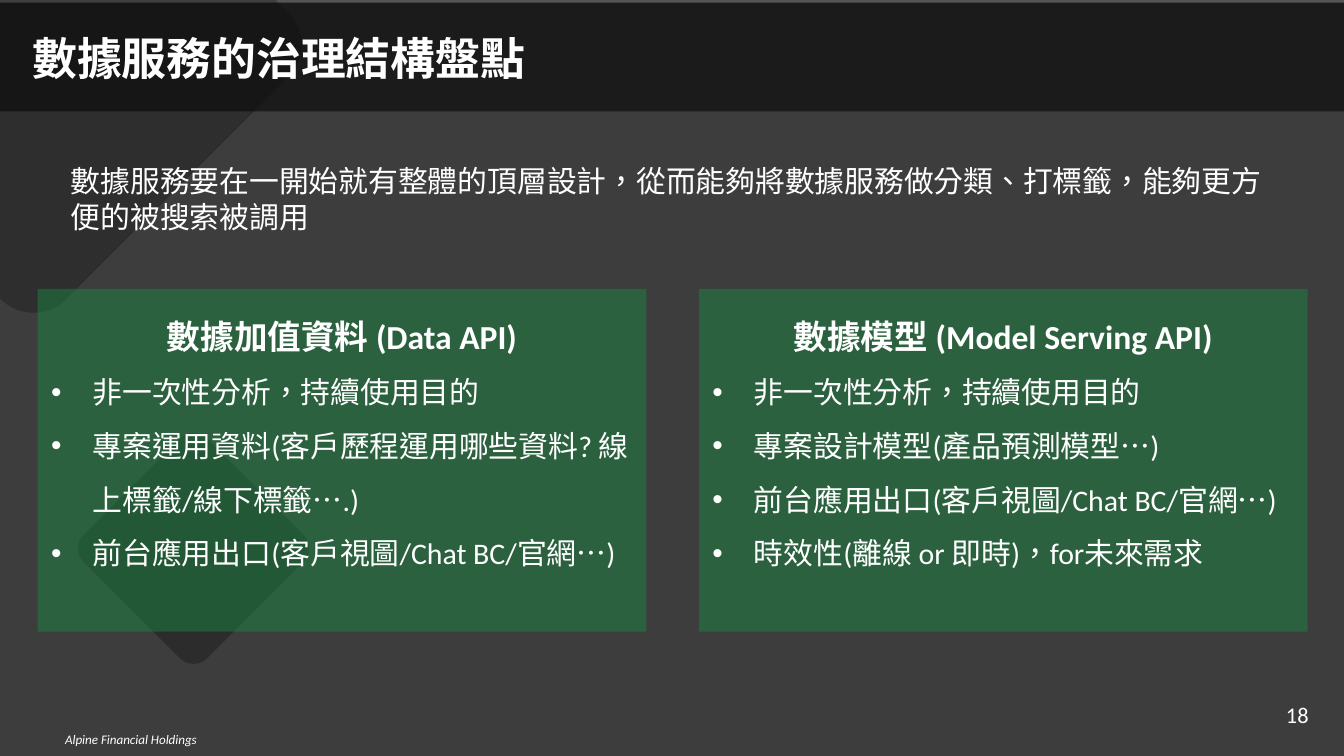
from dataclasses import dataclass

from lxml import etree
from pptx import Presentation
from pptx.dml.color import RGBColor
from pptx.enum.shapes import MSO_SHAPE
from pptx.enum.text import MSO_ANCHOR, MSO_AUTO_SIZE, PP_ALIGN
from pptx.oxml.ns import qn
from pptx.util import Inches, Pt

RECT, ROUNDED = MSO_SHAPE.RECTANGLE, MSO_SHAPE.ROUNDED_RECTANGLE
LEFT, CENTER = PP_ALIGN.LEFT, PP_ALIGN.CENTER
TOP, MIDDLE = MSO_ANCHOR.TOP, MSO_ANCHOR.MIDDLE
TWO_CONTENT = 3


@dataclass(frozen=True)
class Theme:
    dark: RGBColor = RGBColor(0x0D, 0x0D, 0x0D)
    green: RGBColor = RGBColor(0x16, 0x8E, 0x40)
    white: RGBColor = RGBColor(0xFF, 0xFF, 0xFF)
    latin: str = "Calibri"
    intro_font: str = "Open Sans"
    chinese: str = "Noto Sans CJK SC"
    title: int = 24
    heading: int = 18
    body: int = 16
    number: int = 12
    footer: int = 7


THEME = Theme()

CARDS = [
    ("數據加值資料 (Data API)", [
        "非一次性分析，持續使用目的",
        "專案運用資料(客戶歷程運用哪些資料? 線上標籤/線下標籤….)",
        "前台應用出口(客戶視圖/Chat BC/官網…)",
    ]),
    ("數據模型 (Model Serving API)", [
        "非一次性分析，持續使用目的",
        "專案設計模型(產品預測模型…)",
        "前台應用出口(客戶視圖/Chat BC/官網…)",
        "時效性(離線 or 即時)，for未來需求",
    ]),
]


def place(shape, left, top, width, height):
    shape.left, shape.top = Inches(left), Inches(top)
    shape.width, shape.height = Inches(width), Inches(height)


def fill_translucent(shape, color, percent):
    shape.fill.solid()
    shape.fill.fore_color.rgb = color
    color_node = shape.element.spPr.find(qn("a:solidFill"))[0]
    etree.SubElement(color_node, qn("a:alpha")).set("val", str(percent * 1000))
    shape.line.fill.background()


def add_panel(slide, preset, box, percent):
    panel = slide.shapes.add_shape(preset, *map(Inches, box))
    panel.shadow.inherit = False
    fill_translucent(panel, THEME.dark, percent)
    return panel


def bezier(start, control_a, control_b, end, steps=12):
    """Points along a cubic curve, with both ends."""
    curve = []
    for step in range(steps + 1):
        t = step / steps
        weights = ((1 - t) ** 3, 3 * t * (1 - t) ** 2, 3 * t * t * (1 - t), t ** 3)
        curve.append(tuple(sum(w * p[axis] for w, p in zip(
            weights, (start, control_a, control_b, end))) for axis in (0, 1)))
    return curve


def add_corner_diamond(slide):
    outline = [(2.05, 0)]
    outline += bezier((2.15, 0.1), (2.28, 0.23), (2.28, 0.44), (2.15, 0.57))
    outline += bezier((0.49, 2.23), (0.36, 2.36), (0.14, 2.36), (0.01, 2.23))
    outline += [(0, 2.22)]
    builder = slide.shapes.build_freeform(0, 0)
    builder.add_line_segments([(Inches(x), Inches(y)) for x, y in outline])
    diamond = builder.convert_to_shape()
    diamond.shadow.inherit = False
    fill_translucent(diamond, THEME.dark, 30)


def format_paragraph(paragraph, size, font=THEME.latin, align=LEFT,
                     bold=False, italic=False):
    paragraph.alignment = align
    paragraph.space_before = Pt(0)
    for run in paragraph.runs:
        run.font.size, run.font.name = Pt(size), font
        run.font.bold, run.font.italic = bold, italic
        run.font.color.rgb = THEME.white
        properties = run._r.get_or_add_rPr()
        properties.set("lang", "zh-TW")
        east_asian = etree.Element(qn("a:ea"), typeface=THEME.chinese)
        properties.find(qn("a:latin")).addnext(east_asian)


def set_bullet(paragraph, bullet=None):
    properties = paragraph._p.get_or_add_pPr()
    indent = Inches(0.31) if bullet else 0
    properties.set("marL", str(indent))
    properties.set("indent", str(-indent))
    if bullet:
        etree.SubElement(properties, qn("a:buFont")).set("typeface", "Arial")
        etree.SubElement(properties, qn("a:buChar")).set("char", bullet)
    else:
        etree.SubElement(properties, qn("a:buNone"))


def set_frame(shape, anchor):
    frame = shape.text_frame
    frame.word_wrap = True
    frame.auto_size = MSO_AUTO_SIZE.NONE
    frame.vertical_anchor = anchor
    return frame


def add_label(slide, text, box, size, anchor=TOP, **style):
    label = slide.shapes.add_textbox(*map(Inches, box))
    frame = set_frame(label, anchor)
    frame.text = text
    format_paragraph(frame.paragraphs[0], size, **style)


def fill_title(title, text):
    place(title, 0.14, 0.21, 9.72, 0.43)
    frame = set_frame(title, MIDDLE)
    frame.text = text
    format_paragraph(frame.paragraphs[0], THEME.title, THEME.chinese, bold=True)


def fill_card(card, left, heading, points):
    place(card, left, 2.15, 4.53, 2.55)
    fill_translucent(card, THEME.green, 45)
    frame = set_frame(card, TOP)
    frame.text = "\n".join([heading, *points])
    heading_line, *point_lines = frame.paragraphs
    format_paragraph(heading_line, THEME.heading, align=CENTER, bold=True)
    heading_line.line_spacing = 1.5
    set_bullet(heading_line)
    for line in point_lines:
        format_paragraph(line, THEME.body)
        line.line_spacing = 1.5
        set_bullet(line, "•")


def main():
    # Widescreen, 16:9
    deck = Presentation()
    deck.slide_width = Inches(10)
    deck.slide_height = deck.slide_width * 9 // 16
    slide = deck.slides.add_slide(deck.slide_layouts[TWO_CONTENT])
    title, *cards = list(slide.placeholders)

    # Dark backdrop with diamonds and title band
    add_panel(slide, RECT, (-0.02, 0.02, 10.02, 5.62), 80)
    add_corner_diamond(slide)
    add_panel(slide, RECT, (0, 0, 10, 0.83), 70)
    diamond = add_panel(slide, ROUNDED, (0.79, 3.43, 1.3, 1.3), 34)
    diamond.adjustments[0] = 0.11
    diamond.rotation = 315

    # Footer and page number
    add_label(slide, "Alpine Financial Holdings", (0.06, 5.39, 1.83, 0.22),
              THEME.footer, align=CENTER, italic=True)
    add_label(slide, "18", (9.47, 5.16, 0.53, 0.31), THEME.number, MIDDLE)

    # Title and cards, brought in front of the backdrop
    for placeholder in (title, *cards):
        slide.shapes.element.append(placeholder.element)
    fill_title(title, "數據服務的治理結構盤點")
    for column, (card, (heading, points)) in enumerate(zip(cards, CARDS)):
        fill_card(card, 0.28 + column * 4.92, heading, points)

    # Introduction
    add_label(slide, "數據服務要在一開始就有整體的頂層設計，從而能夠將數據服務做分類、"
              "打標籤，能夠更方便的被搜索被調用", (0.43, 1.16, 9.13, 0.64),
              THEME.body, font=THEME.intro_font)

    deck.save("out.pptx")


if __name__ == "__main__":
    main()
